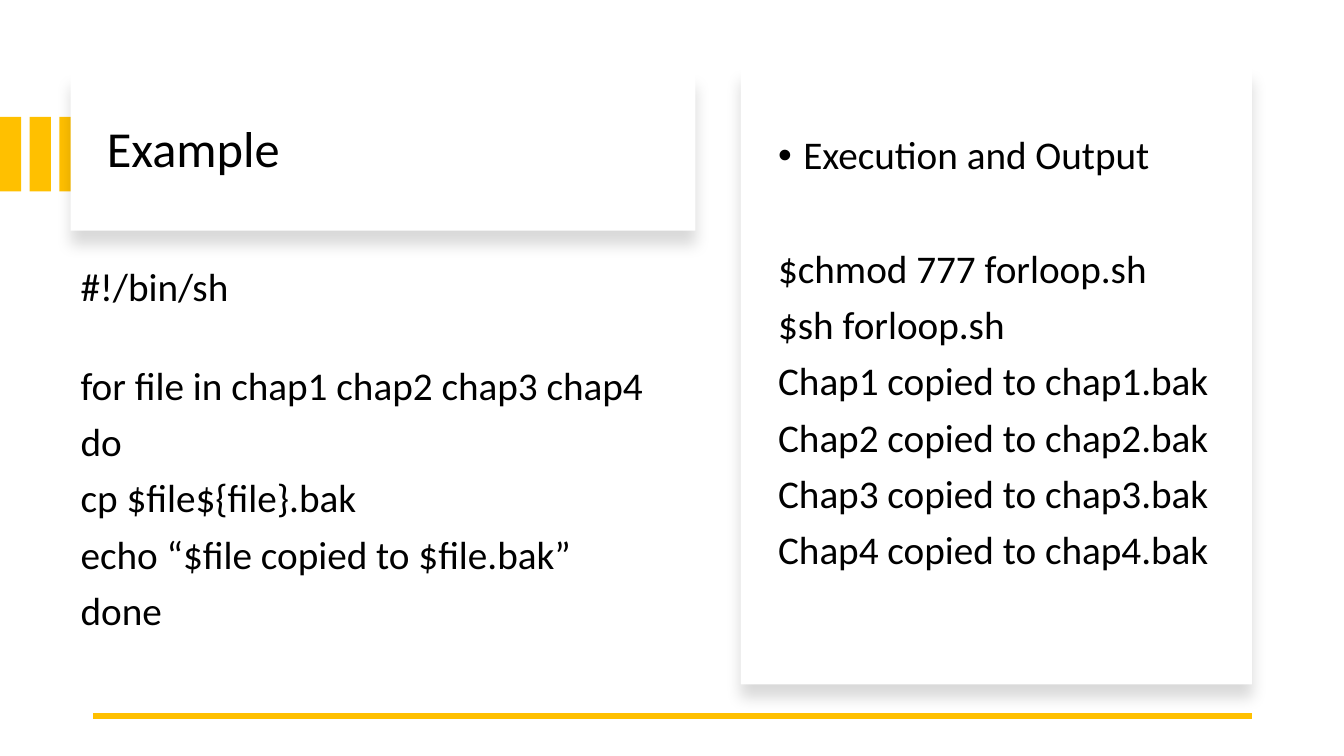
import pptx
import pptx.dml.color
import pptx.enum.shapes
import pptx.enum.text
import pptx.oxml
import pptx.oxml.ns
import pptx.util
from pptx.util import Pt

TITLE = "Example"
SCRIPT_LINES = [
    ("#!/bin/sh", 0),
    ("for file in chap1 chap2 chap3 chap4", 40.5),
    ("do", 10),
    ("cp $file${file}.bak", 10),
    ("echo “$file copied to $file.bak”", 10),
    ("done", 10),
]
OUTPUT_LINES = [
    ("Execution and Output", 0),
    ("$chmod 777 forloop.sh", 50.5),
    ("$sh forloop.sh", 10),
] + [(f"Chap{number} copied to chap{number}.bak", 10) for number in range(1, 5)]

COLOURS = {"accent": "FFC000", "card": "FFFFFF", "text": "000000"}
FONT = "Calibri"
STRIPE_COUNT, STRIPE_PITCH = 3, 21.2
STRIPE_TOP, STRIPE_WIDTH, STRIPE_HEIGHT = 83.5, 15.1, 53.3
TITLE_CARD = (50.4, 51.8, 446.4, 113)
OUTPUT_CARD = (529.2, 48.2, 365, 440.6)
TITLE_BOX = (69.1, 67, 398.2, 81.4)
SCRIPT_BOX = (50.4, 187.2, 438.5, 298.8)
OUTPUT_BOX = (548.6, 93.6, 360.7, 402.5)
RULE_LEFT, RULE_RIGHT, RULE_Y = 66.2, 894.2, 511.2
BULLET_INDENT = 18


def colour(name):
    return pptx.dml.color.RGBColor.from_string(COLOURS[name])


def xml(tag, attributes="", inner=""):
    namespace = pptx.oxml.ns.nsdecls("a")
    return pptx.oxml.parse_xml(f"<a:{tag} {namespace} {attributes}>{inner}</a:{tag}>")


def add_rectangle(slide, box, fill):
    rectangle = slide.shapes.add_shape(
        pptx.enum.shapes.MSO_SHAPE.RECTANGLE, *map(Pt, box))
    rectangle.shadow.inherit = False
    rectangle.fill.solid()
    rectangle.fill.fore_color.rgb = colour(fill)
    rectangle.line.fill.background()
    return rectangle


def add_card(slide, box):
    card = add_rectangle(slide, box, "card")
    shadow = (
        f'<a:outerShdw blurRad="{Pt(11)}" dist="{Pt(10)}" dir="5400000" '
        f'algn="t" rotWithShape="0"><a:srgbClr val="{COLOURS["text"]}">'
        '<a:alpha val="15000"/></a:srgbClr></a:outerShdw>')
    effects = card._element.spPr.find(pptx.oxml.ns.qn("a:effectLst"))
    effects.getparent().replace(effects, xml("effectLst", inner=shadow))


def fill_placeholder(placeholder, box, lines, size, anchor, bulleted_first=False):
    element = placeholder._element
    element.getparent().append(element)
    placeholder.left, placeholder.top, placeholder.width, placeholder.height = map(Pt, box)
    frame = placeholder.text_frame
    frame.word_wrap = True
    frame.auto_size = pptx.enum.text.MSO_AUTO_SIZE.NONE
    frame.vertical_anchor = anchor
    for index, (text, gap) in enumerate(lines):
        paragraph = frame.paragraphs[0] if index == 0 else frame.add_paragraph()
        properties = paragraph._p.get_or_add_pPr()
        bulleted = bulleted_first and index == 0
        indent = Pt(BULLET_INDENT) if bulleted else 0
        properties.set("marL", str(indent))
        properties.set("indent", str(-indent))
        if bulleted:
            properties.append(xml("buFont", 'typeface="Arial"'))
            properties.append(xml("buChar", 'char="•"'))
        else:
            properties.append(xml("buNone"))
        paragraph.alignment = pptx.enum.text.PP_ALIGN.LEFT
        paragraph.line_spacing = 0.9
        paragraph.space_before = Pt(gap)
        run = paragraph.add_run()
        run.text = text
        run.font.name = FONT
        run.font.size = Pt(size)
        run.font.color.rgb = colour("text")


def add_rule(slide):
    rule = slide.shapes.add_connector(
        pptx.enum.shapes.MSO_CONNECTOR.STRAIGHT,
        Pt(RULE_RIGHT), Pt(RULE_Y), Pt(RULE_LEFT), Pt(RULE_Y))
    rule.line.color.rgb = colour("accent")
    rule.line.width = Pt(4.5)
    rule._element.spPr.append(xml("effectLst"))


def main():
    presentation = pptx.Presentation()
    presentation.slide_width, presentation.slide_height = Pt(960), Pt(540)
    slide = presentation.slides.add_slide(
        presentation.slide_layouts.get_by_name("Two Content"))
    title, script, output = slide.placeholders

    for index in range(STRIPE_COUNT):
        stripe = (index * STRIPE_PITCH, STRIPE_TOP, STRIPE_WIDTH, STRIPE_HEIGHT)
        add_rectangle(slide, stripe, "accent")
    add_card(slide, TITLE_CARD)
    add_card(slide, OUTPUT_CARD)
    add_rule(slide)

    anchors = pptx.enum.text.MSO_ANCHOR
    fill_placeholder(title, TITLE_BOX, [(TITLE, 0)], 36, anchors.MIDDLE)
    fill_placeholder(script, SCRIPT_BOX, SCRIPT_LINES, 28, anchors.TOP)
    fill_placeholder(output, OUTPUT_BOX, OUTPUT_LINES, 28, anchors.TOP, True)
    presentation.save("out.pptx")


if __name__ == "__main__":
    main()
